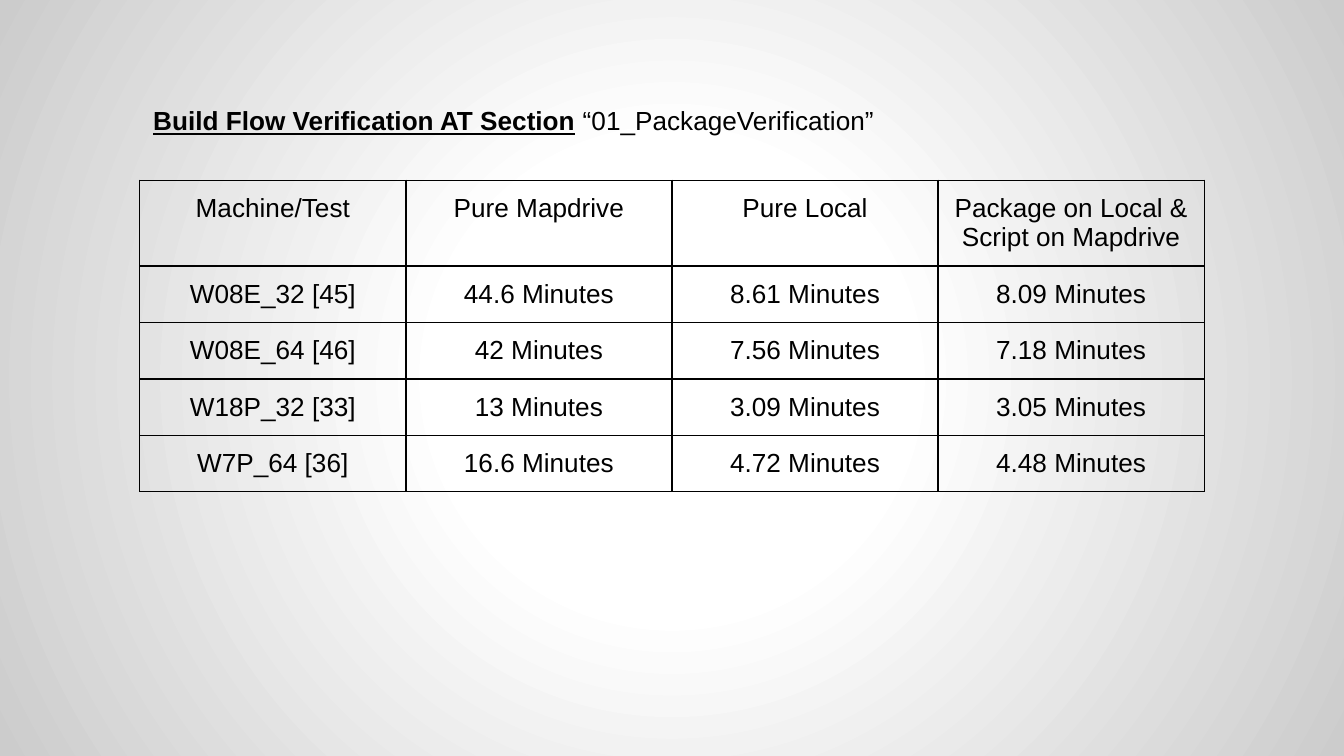
from dataclasses import dataclass

import pptx
import pptx.dml.color
import pptx.enum.text
import pptx.oxml
import pptx.oxml.ns
import pptx.slide
import pptx.table
import pptx.text.text
import pptx.util

Inches = pptx.util.Inches
Align = pptx.enum.text.PP_ALIGN
Anchor = pptx.enum.text.MSO_ANCHOR


@dataclass(frozen=True)
class Theme:
    font: str = "Arial"
    size: float = 14
    ink: str = "000000"
    centre: str = "FFFFFF"
    edge: str = "CCCCCC"
    border: float = 0.75
    inset: float = 0.1


@dataclass(frozen=True)
class Timing:
    machine: str
    mapdrive: str
    local: str
    mixed: str

    def texts(self) -> list[str]:
        minutes = (self.mapdrive, self.local, self.mixed)
        return [self.machine] + [f"{value} Minutes" for value in minutes]


THEME = Theme()
HEADINGS = ["Machine/Test", "Pure Mapdrive", "Pure Local",
            "Package on Local &\nScript on Mapdrive"]
TIMINGS = [
    Timing("W08E_32 [45]", "44.6", "8.61", "8.09"),
    Timing("W08E_64 [46]", "42", "7.56", "7.18"),
    Timing("W18P_32 [33]", "13", "3.09", "3.05"),
    Timing("W7P_64 [36]", "16.6", "4.72", "4.48"),
]
SLIDE_WIDTH = 10
SLIDE_HEIGHT = SLIDE_WIDTH * 9 / 16
LEFT, TABLE_TOP = 1.04, 1.34
COLUMN_WIDTH = 1.98
HEADING_HEIGHT, ROW_HEIGHT = 0.64, 0.42


def style_paragraph(paragraph: pptx.text.text._Paragraph, alignment: Align) -> None:
    paragraph.alignment = alignment
    paragraph.font.name = THEME.font
    paragraph.font.size = pptx.util.Pt(THEME.size)
    paragraph.font.color.rgb = pptx.dml.color.RGBColor.from_string(THEME.ink)


def paint_background(slide: pptx.slide.Slide) -> None:
    """Radial gradient, light in the middle."""
    slide.background.fill.gradient()
    gradient = slide.element.xpath(".//a:gradFill")[0]
    stops = "".join(
        f'<a:gs pos="{percent * 1000}"><a:srgbClr val="{color}"/></a:gs>'
        for percent, color in ((0, THEME.centre), (30, THEME.centre), (100, THEME.edge)))
    radial = pptx.oxml.parse_xml(
        f'<a:gradFill {pptx.oxml.ns.nsdecls("a")}><a:gsLst>{stops}</a:gsLst>'
        '<a:path path="circle"><a:fillToRect l="50000" t="50000" r="50000" b="50000"/>'
        '</a:path></a:gradFill>')
    gradient.getparent().replace(gradient, radial)


def write_title(slide: pptx.slide.Slide) -> None:
    title = slide.shapes.title
    title.left, title.top = Inches(LEFT), Inches(0.68)
    title.width, title.height = Inches(8.13), Inches(0.49)
    frame = title.text_frame
    frame.word_wrap = True
    frame.auto_size = pptx.enum.text.MSO_AUTO_SIZE.NONE
    frame.vertical_anchor = Anchor.TOP
    frame.margin_left = frame.margin_right = Inches(THEME.inset)
    frame.margin_top = frame.margin_bottom = Inches(THEME.inset)
    paragraph = frame.paragraphs[0]
    style_paragraph(paragraph, Align.LEFT)
    section = paragraph.add_run()
    section.text = "Build Flow Verification AT Section"
    section.font.bold = section.font.underline = True
    paragraph.add_run().text = " “01_PackageVerification”"


def add_borders(cell: pptx.table._Cell) -> None:
    properties = cell._tc.get_or_add_tcPr()
    for side in ("lnL", "lnR", "lnT", "lnB"):
        properties.append(pptx.oxml.parse_xml(
            f'<a:{side} {pptx.oxml.ns.nsdecls("a")} w="{pptx.util.Pt(THEME.border)}">'
            f'<a:solidFill><a:srgbClr val="{THEME.ink}"/></a:solidFill></a:{side}>'))


def write_cell(cell: pptx.table._Cell, text: str) -> None:
    cell.text = text
    cell.vertical_anchor = Anchor.TOP
    cell.margin_left = cell.margin_right = Inches(THEME.inset)
    cell.margin_top = cell.margin_bottom = Inches(THEME.inset)
    for paragraph in cell.text_frame.paragraphs:
        style_paragraph(paragraph, Align.CENTER)
    add_borders(cell)
    cell.fill.background()


def add_timings(slide: pptx.slide.Slide) -> None:
    rows = [HEADINGS] + [timing.texts() for timing in TIMINGS]
    heights = [HEADING_HEIGHT] + [ROW_HEIGHT] * len(TIMINGS)
    timings = slide.shapes.add_table(
        len(rows), len(HEADINGS), Inches(LEFT), Inches(TABLE_TOP),
        Inches(COLUMN_WIDTH * len(HEADINGS)), Inches(sum(heights))).table
    timings.first_row = timings.horz_banding = False
    for column in timings.columns:
        column.width = Inches(COLUMN_WIDTH)
    for r, (texts, height) in enumerate(zip(rows, heights)):
        timings.rows[r].height = Inches(height)
        for c, text in enumerate(texts):
            write_cell(timings.cell(r, c), text)


def main() -> None:
    deck = pptx.Presentation()
    deck.slide_width, deck.slide_height = Inches(SLIDE_WIDTH), Inches(SLIDE_HEIGHT)
    slide = deck.slides.add_slide(deck.slide_layouts.get_by_name("Title Only"))
    paint_background(slide)
    add_timings(slide)
    write_title(slide)
    deck.save("out.pptx")


if __name__ == "__main__":
    main()
